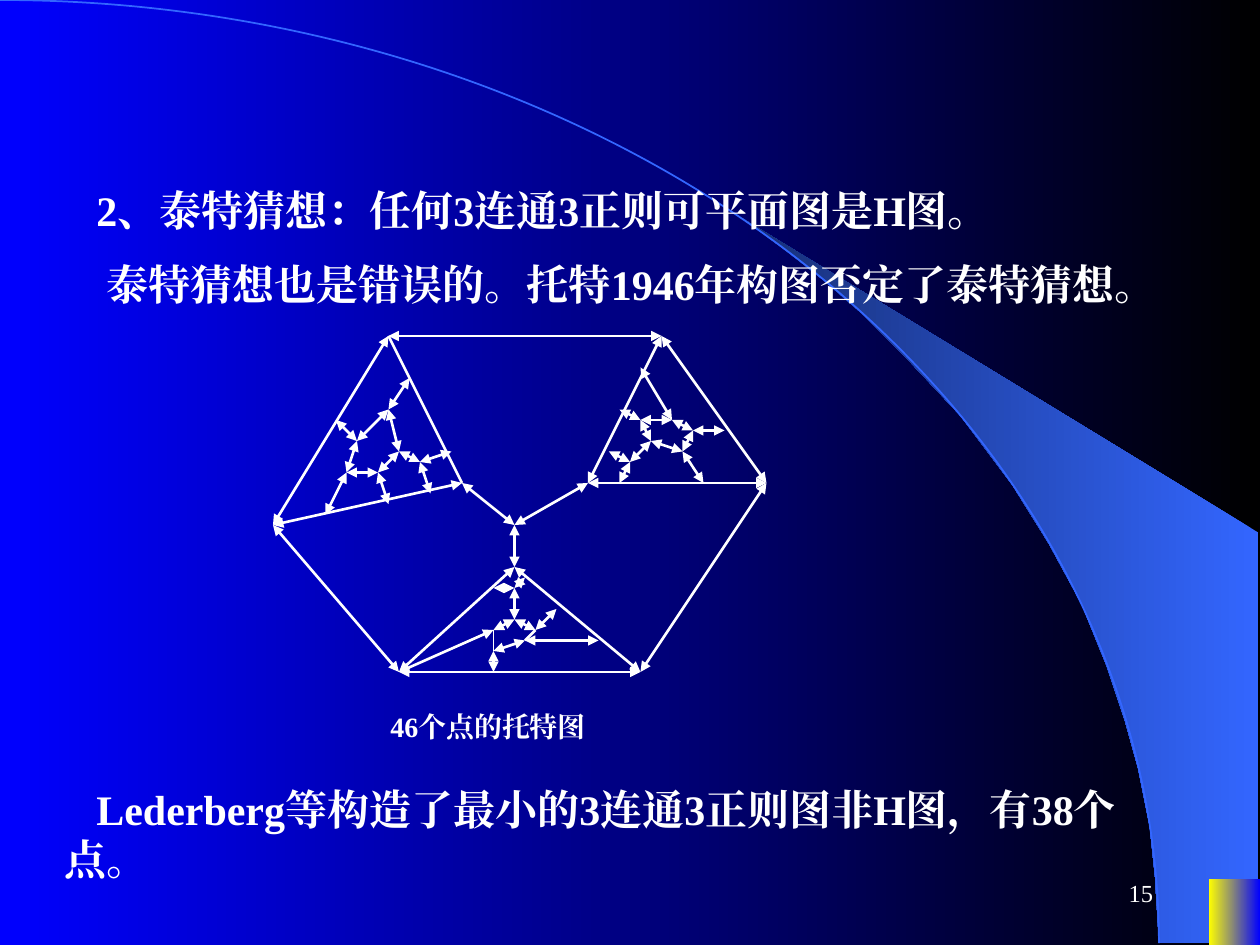
import pptx
import pptx.dml.color
import pptx.enum.shapes
import pptx.enum.text
import pptx.oxml
import pptx.oxml.ns
import pptx.util

PX = 9525  # EMU per px, 96 px to the inch
GRID = 8   # px per step of the graph's grid
THEME = dict(white="FFFFFF", black="000000", blue="0000FF", yellow="FFFF00",
             sky="3366FF", navy="172F75", font="Times New Roman",
             body=24, caption=16, number=14, thin=0.75, arc=1, edge=1.5)
SHAPE = pptx.enum.shapes.MSO_SHAPE
ALIGN = pptx.enum.text.PP_ALIGN
ANCHOR = pptx.enum.text.MSO_ANCHOR
rgb = pptx.dml.color.RGBColor.from_string

prs = pptx.Presentation()
prs.slide_width, prs.slide_height = 960 * PX, 720 * PX
s = prs.slides.add_slide(prs.slide_layouts[6])


def add_gradient(fill, *colors):
    fill.gradient()
    fill.gradient_angle = 180
    for stop, position, color in zip(fill.gradient_stops, (0, 1), colors):
        stop.position = position
        stop.color.rgb = rgb(THEME[color])


def add_text(text, box, size="body", bold=True, indent=0,
             align=ALIGN.LEFT, anchor=ANCHOR.TOP):
    tf = s.shapes.add_textbox(*[v * PX for v in box]).text_frame
    tf.word_wrap = True
    tf.vertical_anchor = anchor
    p = tf.paragraphs[0]
    p.alignment = align
    if indent:
        p._p.get_or_add_pPr().set("indent", str(indent * PX))
    r = p.add_run()
    r.text = text
    r.font.name = THEME["font"]
    r.font.size = pptx.util.Pt(THEME[size])
    r.font.bold = bold
    r.font.color.rgb = rgb(THEME["white"])
    rPr = r._r.get_or_add_rPr()
    ea = pptx.oxml.parse_xml(f'<a:ea {pptx.oxml.ns.nsdecls("a")} typeface="{THEME["font"]}"/>')
    rPr.append(ea)


# Background
add_gradient(s.background.fill, "black", "blue")

# Crescent at the right
crescent = [(883, 718), (959, 719), (959, 406), (565, 166), (599, 191),
            (627, 213), (658, 240), (687, 269), (732, 317), (771, 369),
            (799, 414), (824, 460), (843, 507), (857, 549), (867, 585),
            (876, 630), (880, 668)]
fb = s.shapes.build_freeform(*crescent[0], scale=PX)
fb.add_line_segments(crescent[1:], close=True)
sp = fb.convert_to_shape()
sp.shadow.inherit = False
add_gradient(sp.fill, "sky", "navy")
sp.line.fill.background()

# Large arc
sp = s.shapes.add_shape(SHAPE.ARC, -883 * PX, 0, 1766 * PX, 1437 * PX)
sp.shadow.inherit = False
sp.fill.background()
sp.line.color.rgb = rgb(THEME["sky"])
sp.line.width = pptx.util.Pt(THEME["arc"])

# Corner block
sp = s.shapes.add_shape(SHAPE.RECTANGLE, 921 * PX, 670 * PX, 39 * PX, 50 * PX)
sp.shadow.inherit = False
add_gradient(sp.fill, "blue", "yellow")
sp.line.fill.background()

# Statements
add_text("2、泰特猜想：任何3连通3正则可平面图是H图。", (40, 136, 824, 48), indent=24)
add_text("泰特猜想也是错误的。托特1946年构图否定了泰特猜想。",
         (56, 192, 824, 48), indent=16)

# Tutte graph: chains of vertices in grid steps
arrow_chains = [
    # outer hexagon
    [(37, 32), (63, 32), (73, 46), (61, 64), (38, 64), (26, 50), (37, 32)],
    # three triangles and the centre
    [(26, 50), (44, 46), (49, 50), (56, 46), (73, 46)],
    [(63, 32), (56, 46)],
    [(49, 50), (49, 54)],
    [(38, 64), (49, 54), (61, 64)],
    # inside the left triangle
    [(32, 40), (34, 42), (37, 39), (38, 43), (36, 45), (33, 45), (34, 42)],
    [(37, 39), (39, 36)],
    [(38, 43), (40, 44), (43, 43)],
    [(40, 44), (41, 47)],
    [(36, 45), (37, 48)],
    [(33, 45), (31, 49)],
    # inside the bottom triangle
    [(38, 64), (47, 60), (49, 59), (51, 60), (53, 58)],
    [(47, 64), (47, 62), (50, 61), (57, 61)],
    [(47, 56), (49, 56), (49, 59)],
    [(49, 56), (50, 55)],
    # inside the right triangle
    [(58, 43), (60, 44), (59, 46)],
    [(60, 44), (62, 42), (65, 43), (67, 46)],
    [(62, 42), (61, 40), (64, 40), (66, 41), (69, 41)],
    [(66, 41), (65, 43)],
    [(61, 40), (59, 39)],
    [(64, 40), (61, 35)],
]
edges = [(a, b, "edge", True) for chain in arrow_chains
         for a, b in zip(chain, chain[1:])]
edges += [((37, 32), (44, 46), "edge", False),
          ((51, 60), (50, 61), "edge", False),
          ((47, 60), (47, 62), "thin", False)]
for start, end, width, arrows in edges:
    line = s.shapes.add_connector(pptx.enum.shapes.MSO_CONNECTOR.STRAIGHT,
                                  *[v * GRID * PX for v in start + end])
    line.line.color.rgb = rgb(THEME["white"])
    line.line.width = pptx.util.Pt(THEME[width])
    ns = pptx.oxml.ns.nsdecls("a")
    if arrows:
        ln = line.line._get_or_add_ln()
        for tag in ("headEnd", "tailEnd"):
            ln.append(pptx.oxml.parse_xml(f'<a:{tag} {ns} type="triangle"/>'))
    line._element.spPr.append(pptx.oxml.parse_xml(f"<a:effectLst {ns}/>"))

# Caption, closing remark and slide number
add_text("46个点的托特图", (288, 536, 250, 36), size="caption", align=ALIGN.JUSTIFY)
add_text("Lederberg等构造了最小的3连通3正则图非H图，有38个点。",
         (40, 592, 824, 86), indent=24)
add_text("15", (688, 656, 200, 48), size="number", bold=False,
         align=ALIGN.RIGHT, anchor=ANCHOR.MIDDLE)

prs.save("out.pptx")
